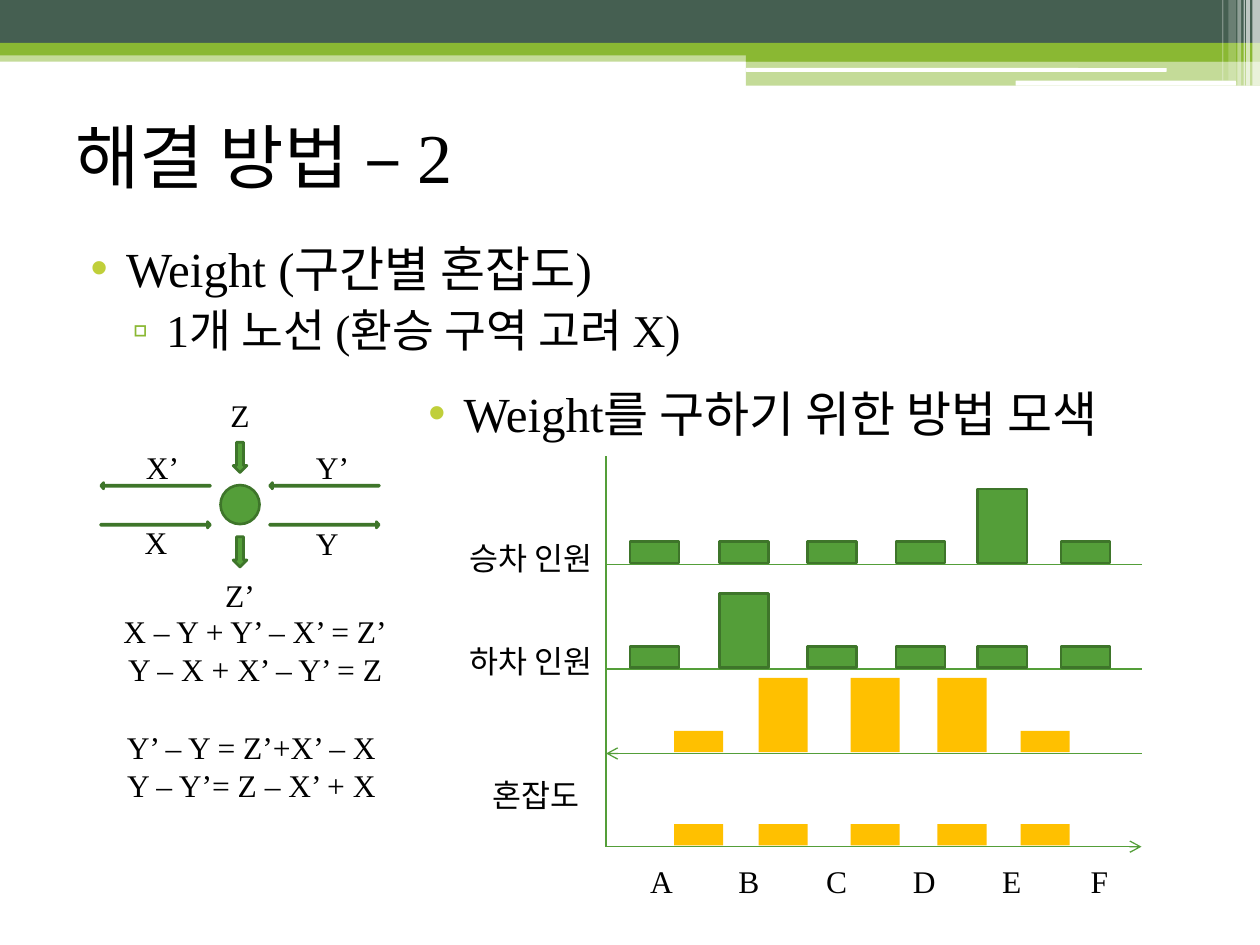
from pptx import Presentation
from pptx.dml.color import RGBColor
from pptx.enum.shapes import MSO_CONNECTOR, MSO_SHAPE
from pptx.enum.text import MSO_ANCHOR, PP_ALIGN
from pptx.oxml.ns import qn
from pptx.util import Inches, Pt
from lxml.etree import SubElement

FONT = "Times New Roman"
BLACK = RGBColor(0, 0, 0)
WHITE = RGBColor(255, 255, 255)
SLATE = RGBColor(0x45, 0x5F, 0x51)
LIME = RGBColor(0x8A, 0xB8, 0x33)
OLIVE = RGBColor(0xC0, 0xCF, 0x3A)
GREEN = RGBColor(0x54, 0x9E, 0x39)
DARK = RGBColor(0x3E, 0x75, 0x2A)
AMBER = RGBColor(0xFF, 0xC0, 0x00)


def add_part(slide, kind, box, color, edge=None, alpha=None):
    """Add a filled preset shape, with an optional edge and opacity."""
    part = slide.shapes.add_shape(kind, *map(Inches, box))
    part.shadow.inherit = False
    part.fill.solid()
    part.fill.fore_color.rgb = color
    if alpha is not None:
        tint = part._element.spPr.find(".//" + qn("a:srgbClr"))
        SubElement(tint, qn("a:alpha"), val=str(alpha * 1000))
    if edge is None:
        part.line.fill.background()
    else:
        part.line.color.rgb = edge
        part.line.width = Pt(1.5)
    return part


def add_run(para, text, size):
    """Add a run in the slide font."""
    run = para.add_run()
    run.text = text
    run.font.name = FONT
    run.font.size = Pt(size)
    run.font.color.rgb = BLACK


def add_label(slide, box, lines, align=PP_ALIGN.LEFT, wrap=False):
    """Add a text box with one paragraph for each line."""
    frame = slide.shapes.add_textbox(*map(Inches, box)).text_frame
    frame.word_wrap = wrap
    for i, line in enumerate(lines):
        para = frame.add_paragraph() if i else frame.paragraphs[0]
        para.alignment = align
        add_run(para, line, 18)


def add_line(slide, start, end, arrow=None):
    """Add a thin green line, with an arrowhead at headEnd or tailEnd."""
    line = slide.shapes.add_connector(
        MSO_CONNECTOR.STRAIGHT, *map(Inches, start + end))
    line.line.color.rgb = GREEN
    line.line.width = Pt(0.75)
    if arrow:
        SubElement(line.line._get_or_add_ln(), qn("a:" + arrow), type="arrow")
    SubElement(line._element.spPr, qn("a:effectLst"))


def set_place(holder, box):
    """Move a placeholder into a box."""
    holder.left, holder.top, holder.width, holder.height = map(Inches, box)


def fill_title(holder, box, text):
    """Place and fill the title."""
    set_place(holder, box)
    frame = holder.text_frame
    frame.word_wrap = True
    frame.vertical_anchor = MSO_ANCHOR.MIDDLE
    frame.paragraphs[0].alignment = PP_ALIGN.LEFT
    add_run(frame.paragraphs[0], text, 40)


def fill_list(holder, box, items):
    """Place a list and fill it with bulleted items, one level deeper each."""
    styles = [("•", OLIVE, 0.4, -0.28, 28), ("▫", LIME, 0.72, -0.27, 26)]
    set_place(holder, box)
    frame = holder.text_frame
    frame.word_wrap = True
    for level, (text, style) in enumerate(zip(items, styles)):
        mark, color, left, first, size = style
        para = frame.add_paragraph() if level else frame.paragraphs[0]
        para.level = level
        para.space_before = Pt(3)
        props = para._p.get_or_add_pPr()
        props.set("marL", str(Inches(left)))
        props.set("indent", str(Inches(first)))
        tint = SubElement(props, qn("a:buClr"))
        SubElement(tint, qn("a:srgbClr"), val=str(color))
        SubElement(props, qn("a:buFont"), typeface="Arial")
        SubElement(props, qn("a:buChar"), char=mark)
        add_run(para, text, size)


def draw_header(slide, box):
    """Draw the banded header with its pale strips on the right."""
    x, y, w, h = box
    mid = x + 5.92
    rect, round_ = MSO_SHAPE.RECTANGLE, MSO_SHAPE.ROUNDED_RECTANGLE
    add_part(slide, rect, (x, y + 0.4, w, 0.09), LIME, alpha=50)
    add_part(slide, rect, (x, y, w, 0.34), SLATE)
    add_part(slide, rect, (x, y + 0.34, w, 0.1), LIME)
    add_part(slide, rect, (mid, y + 0.39, x + w - mid, 0.1), LIME)
    add_part(slide, rect, (mid, y + 0.48, x + w - mid, 0.2), LIME, alpha=50)
    add_part(slide, round_, (mid, y + 0.54, 3.34, 0.03), WHITE)
    add_part(slide, round_, (x + 8.06, y + 0.64, 1.75, 0.04), WHITE)
    strips = [(0.06, 0.06, h, 65), (0.11, 0.03, h, 65), (0.13, 0.01, h, 60),
              (0.18, 0.03, h, 40), (0.25, 0.06, 0.64, 20),
              (0.3, 0.01, 0.64, 30)]
    for back, wide, tall, alpha in strips:
        add_part(slide, rect, (x + w - back, y, wide, tall), WHITE, alpha=alpha)


def draw_flow(slide, box):
    """Draw the station with the flows that enter and leave it."""
    x, y, w, h = box
    mid = x + w / 2
    add_part(slide, MSO_SHAPE.OVAL, (mid - 0.155, y + 0.76, 0.31, 0.31),
             GREEN, DARK)
    rows = [(MSO_SHAPE.LEFT_ARROW, 0.74), (MSO_SHAPE.RIGHT_ARROW, 1.05)]
    for kind, down in rows:
        for left in (x, x + w - 0.87):
            arrow = add_part(slide, kind, (left, y + down, 0.87, 0.05),
                             GREEN, DARK)
            arrow.adjustments[0] = 0.16
            arrow.adjustments[1] = 0.45
    for down in (0.42, 1.17):
        add_part(slide, MSO_SHAPE.DOWN_ARROW,
                 (mid - 0.055, y + down, 0.11, 0.24), GREEN, DARK)
    for name, down in (("Z", 0), ("Z’", 1.43)):
        add_label(slide, (mid - 0.23, y + down, 0.46, 0.4), [name],
                  PP_ALIGN.CENTER, True)
    for name, right, down in (("X’", 0.26, 0.42), ("X", 0.25, 1.01),
                              ("Y", 1.61, 1.02), ("Y’", 1.61, 0.42)):
        add_label(slide, (x + right, y + down, 0.47, 0.4), [name])


def draw_sums(slide, box):
    """Write the two pairs of balance equations."""
    x, y, w, h = box
    pairs = [["X – Y + Y’ – X’ = Z’", "Y – X + X’ – Y’ = Z"],
             ["Y’ – Y = Z’+X’ – X", "Y – Y’= Z – X’ + X"]]
    for i, pair in enumerate(pairs):
        add_label(slide, (x - 0.03 * i, y + i * (h - 0.71), w, 0.71), pair,
                  PP_ALIGN.CENTER)


def draw_bars(slide, box):
    """Draw the four rows of bars, their axes and their labels."""
    x, y, w, h = box
    low, high, wide = 0.17, 0.59, 0.39
    stops = [0.19, 0.9, 1.6, 2.3, 2.95, 3.61]
    gaps = [0.54, 1.21, 1.94, 2.63, 3.29]
    rows = [(0.86, stops, {4}, GREEN, DARK, None),
            (1.69, stops, {1}, GREEN, DARK, None),
            (2.36, gaps, {1, 2, 3}, AMBER, None, "headEnd"),
            (h, gaps, set(), AMBER, None, "tailEnd")]
    add_line(slide, (x, y), (x, y + h))
    for down, places, peaks, color, edge, arrow in rows:
        base = y + down
        add_line(slide, (x, base), (x + w, base), arrow)
        for i, place in enumerate(places):
            tall = high if i in peaks else low
            add_part(slide, MSO_SHAPE.RECTANGLE,
                     (x + place, base - 0.01 - tall, wide, tall), color, edge)
    for name, left, down in (("승차 인원", 1.18, 0.61),
                             ("하차 인원", 1.18, 1.43), ("혼잡도", 1, 2.49)):
        add_label(slide, (x - left, y + down, left, 0.4), [name])
    for i, name in enumerate("ABCDEF"):
        add_label(slide, (x + 0.24 + 0.695 * i, y + h + 0.07, 0.4, 0.4),
                  [name], PP_ALIGN.CENTER, True)


def main():
    """Build and save the slide."""
    deck = Presentation()
    deck.slide_width, deck.slide_height = Inches(10), Inches(7.5)
    slide = deck.slides.add_slide(deck.slide_layouts[3])
    title, body, side = list(slide.placeholders)[:3]
    draw_header(slide, (0, 0, 10, 0.68))
    fill_title(title, (0.5, 0.65, 9, 1.17), "해결 방법 – 2")
    fill_list(body, (0.5, 1.84, 9, 5.35),
              ["Weight (구간별 혼잡도)", "1개 노선 (환승 구역 고려 X)"])
    fill_list(side, (3.18, 2.99, 6.01, 3.99),
              ["Weight를 구하기 위한 방법 모색"])
    draw_flow(slide, (0.8, 3.09, 2.21, 1.83))
    draw_sums(slide, (0.87, 4.81, 2.31, 1.63))
    draw_bars(slide, (4.81, 3.62, 4.25, 3.1))
    deck.save("out.pptx")


if __name__ == "__main__":
    main()
